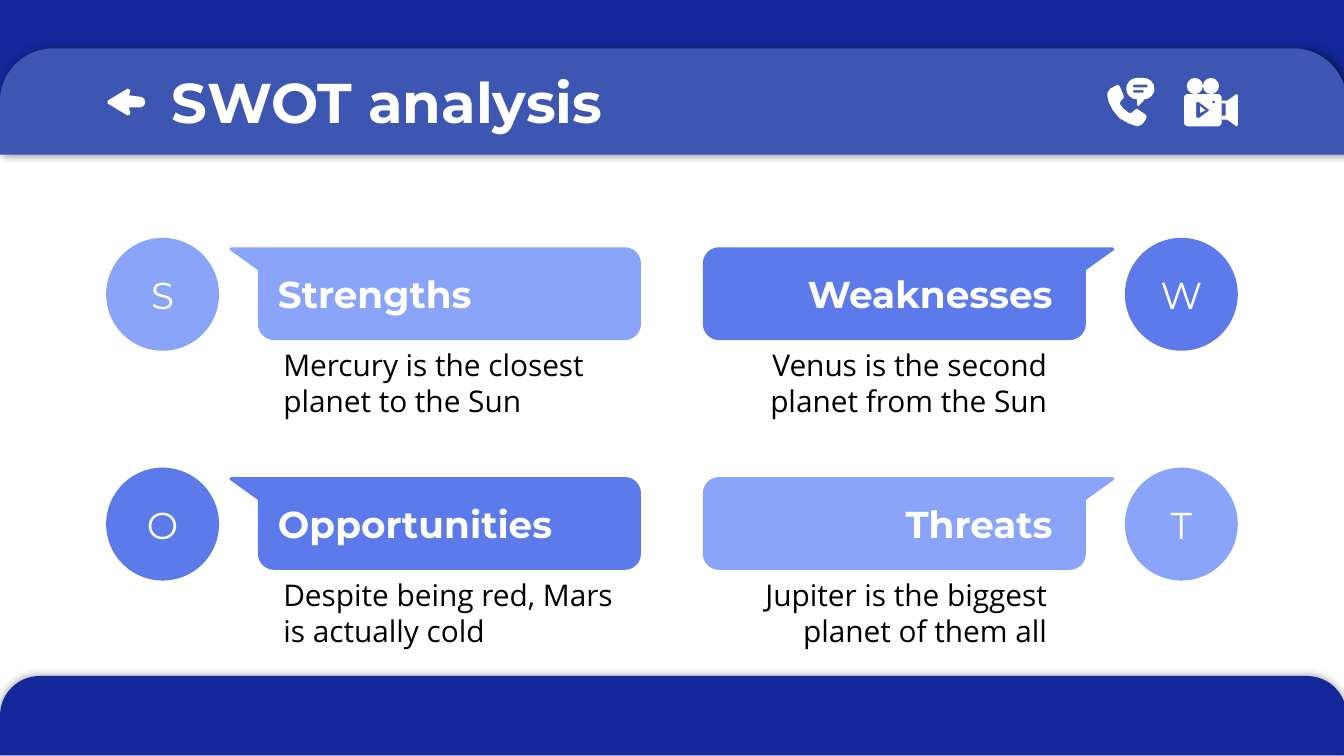
from dataclasses import dataclass
from math import cos, radians, sin

from lxml.etree import SubElement
from pptx import Presentation
from pptx.dml.color import RGBColor
from pptx.enum.shapes import MSO_SHAPE
from pptx.enum.text import MSO_ANCHOR, PP_ALIGN
from pptx.oxml.ns import qn
from pptx.util import Inches, Pt

Point = tuple[float, float]
WIDE = 10
NAVY, BLUE, MID, PALE = "14279B", "3D56B2", "5C7AEA", "8AA4F9"
WHITE, BLACK = "FFFFFF", "000000"
HEAD, BODY = "Montserrat", "Open Sans"


@dataclass
class Card:
    mark: str
    name: str
    note: str
    color: str
    top: float
    right: bool


CARDS = [
    Card("S", "Strengths", "Mercury is the closest planet to the Sun", PALE, 1.77, False),
    Card("W", "Weaknesses", "Venus is the second planet from the Sun", MID, 1.77, True),
    Card("O", "Opportunities", "Despite being red, Mars is actually cold", MID, 3.48, False),
    Card("T", "Threats", "Jupiter is the biggest planet of them all", PALE, 3.48, True),
]

deck = Presentation()
deck.slide_width, deck.slide_height = Inches(WIDE), Inches(WIDE) * 9 // 16
slide = deck.slides.add_slide(deck.slide_layouts[6])
shapes = slide.shapes


def paint(shape, color: str) -> None:
    shape.shadow.inherit = False
    shape.fill.solid()
    shape.fill.fore_color.rgb = RGBColor.from_string(color)
    shape.line.fill.background()


def block(kind: MSO_SHAPE, x: float, y: float, w: float, h: float, color: str):
    shape = shapes.add_shape(kind, Inches(x), Inches(y), Inches(w), Inches(h))
    paint(shape, color)
    return shape


def shade(shape, alpha: int, angle: int) -> None:
    effects = shape._element.spPr.find(qn("a:effectLst"))
    outer = SubElement(effects, qn("a:outerShdw"), blurRad=str(Pt(4.5)), dist=str(Pt(1.5)),
                       dir=str(angle * 60000), algn="bl", rotWithShape="0")
    tint = SubElement(outer, qn("a:srgbClr"), val=BLACK)
    SubElement(tint, qn("a:alpha"), val=str(alpha * 1000))


def tab(y: float, h: float, color: str, alpha: int, angle: int) -> None:
    """Full-width bar with round top corners."""
    bar = block(MSO_SHAPE.ROUND_2_SAME_RECTANGLE, 0, y, 10.02, h, color)
    bar.adjustments[0], bar.adjustments[1] = 0.5, 0
    shade(bar, alpha, angle)


def write(shape, text: str, font: str, size: int, color: str, align=PP_ALIGN.LEFT,
          bold: bool = False) -> None:
    frame = shape.text_frame
    frame.word_wrap = True
    frame.margin_left = frame.margin_right = Inches(0.1)
    frame.margin_top = frame.margin_bottom = Inches(0.1)
    line = frame.paragraphs[0]
    line.text, line.alignment = text, align
    line.font.name, line.font.size, line.font.bold = font, Pt(size), bold
    line.font.color.rgb = RGBColor.from_string(color)


def label(x: float, y: float, w: float, h: float, *args, **style) -> None:
    box = shapes.add_textbox(Inches(x), Inches(y), Inches(w), Inches(h))
    write(box, *args, **style)


def arc(x: float, y: float, r: float, start: int, sweep: int = 90) -> list[Point]:
    turns = [radians(start + sweep * i / 8) for i in range(9)]
    return [(x + r * cos(t), y + r * sin(t)) for t in turns]


def pill(x: float, y: float, w: float, h: float, r: float) -> list[Point]:
    """Round-cornered box, clockwise from its lower right corner."""
    x1, y1, x2, y2 = x + r, y + r, x + w - r, y + h - r
    return arc(x2, y2, r, 0) + arc(x1, y2, r, 90) + arc(x1, y1, r, 180) + arc(x2, y1, r, 270)


def draw(color: str, *loops: list[Point]) -> None:
    """Fill one outline; further loops are holes in it."""
    paths = [[(Inches(x), Inches(y)) for x, y in loop] for loop in loops]
    pen = shapes.build_freeform(*paths[0][0])
    for i, path in enumerate(paths):
        if i:
            pen.move_to(*path[0])
        pen.add_line_segments(path[1:], close=True)
    paint(pen.convert_to_shape(), color)


def card(item: Card) -> None:
    def flip(x: float, w: float = 0) -> float:
        return WIDE - x - w if item.right else x

    top = item.top
    # Banner with its pointed corner
    edge = [(1.72, top + 0.07), (1.71, top + 0.08), (1.71, top + 0.09), (1.92, top + 0.24)]
    edge += arc(2.04, top + 0.64, 0.12, 180, -90) + arc(4.65, top + 0.64, 0.12, 90, -90)
    edge += arc(4.65, top + 0.19, 0.12, 0, -90)
    draw(item.color, [(flip(x), y) for x, y in edge])
    # Heading and note
    if item.right:
        side, head, note = PP_ALIGN.RIGHT, (5.45, 2.48), (5.03, 2.86)
    else:
        side, head, note = PP_ALIGN.LEFT, (1.97, 2.63), (2.01, 2.77)
    label(head[0], top + 0.15, head[1], 0.47, item.name, HEAD, 20, WHITE, side, bold=True)
    label(note[0], top + 0.71, note[1], 0.79, item.note, BODY, 16, BLACK, side)
    # Letter disc
    disc = block(MSO_SHAPE.OVAL, flip(0.79, 0.84), top, 0.84, 0.84, item.color)
    write(disc, item.mark, HEAD, 20, WHITE, PP_ALIGN.CENTER)
    disc.text_frame.vertical_anchor = MSO_ANCHOR.MIDDLE


def icons() -> None:
    # Back arrow
    draw(WHITE, [(0.8, 0.75), (0.8, 0.77), (0.95, 0.86), (0.97, 0.85), (0.96, 0.8)]
         + arc(1.04, 0.76, 0.04, 90, -180) + [(0.96, 0.71), (0.97, 0.67), (0.95, 0.66)])
    # Telephone
    draw(WHITE, [(8.31, 0.63), (8.3, 0.64), (8.26, 0.66), (8.24, 0.69), (8.24, 0.72),
                 (8.25, 0.76), (8.28, 0.82), (8.33, 0.88), (8.4, 0.92), (8.46, 0.94),
                 (8.49, 0.93), (8.51, 0.91), (8.53, 0.88), (8.53, 0.86), (8.52, 0.85),
                 (8.46, 0.81), (8.44, 0.82), (8.42, 0.84), (8.4, 0.84), (8.36, 0.81),
                 (8.33, 0.77), (8.34, 0.75), (8.36, 0.73), (8.36, 0.71), (8.33, 0.64)])
    # Speech bubble with two lines
    draw(WHITE, arc(8.46, 0.66, 0.08, 270, -180)
         + [(8.46, 0.78), (8.47, 0.79), (8.51, 0.75)] + arc(8.51, 0.66, 0.08, 90, -180),
         pill(8.43, 0.63, 0.11, 0.02, 0.01), pill(8.43, 0.67, 0.08, 0.02, 0.01))
    # Film camera: body, lens and reels
    draw(WHITE, pill(8.81, 0.7, 0.28, 0.24, 0.03),
         [(8.9, 0.76), (8.92, 0.76), (9, 0.82), (8.92, 0.88), (8.9, 0.87)],
         pill(9.02, 0.75, 0.02, 0.02, 0.01))
    draw(WHITE, [(9.09, 0.75), (9.13, 0.75), (9.2, 0.7), (9.21, 0.71), (9.21, 0.93),
                 (9.2, 0.94), (9.13, 0.89), (9.09, 0.89), (9.09, 0.86), (9.12, 0.86),
                 (9.12, 0.77), (9.09, 0.77)])
    draw(WHITE, [(8.93, 0.79), (8.93, 0.84), (8.97, 0.82)])
    for x in (8.83, 8.95):
        block(MSO_SHAPE.OVAL, x, 0.58, 0.12, 0.12, WHITE)


# Frame and title
tab(5.03, 0.59, NAVY, 32, 237)
block(MSO_SHAPE.RECTANGLE, 0, -0.01, 10.02, 1.02, NAVY)
tab(0.36, 0.79, BLUE, 50, 0)
label(1.18, 0.4, 8.03, 0.63, "SWOT analysis", HEAD, 30, WHITE, bold=True)

# Four cards and the header icons
for item in CARDS:
    card(item)
icons()

deck.save("out.pptx")
